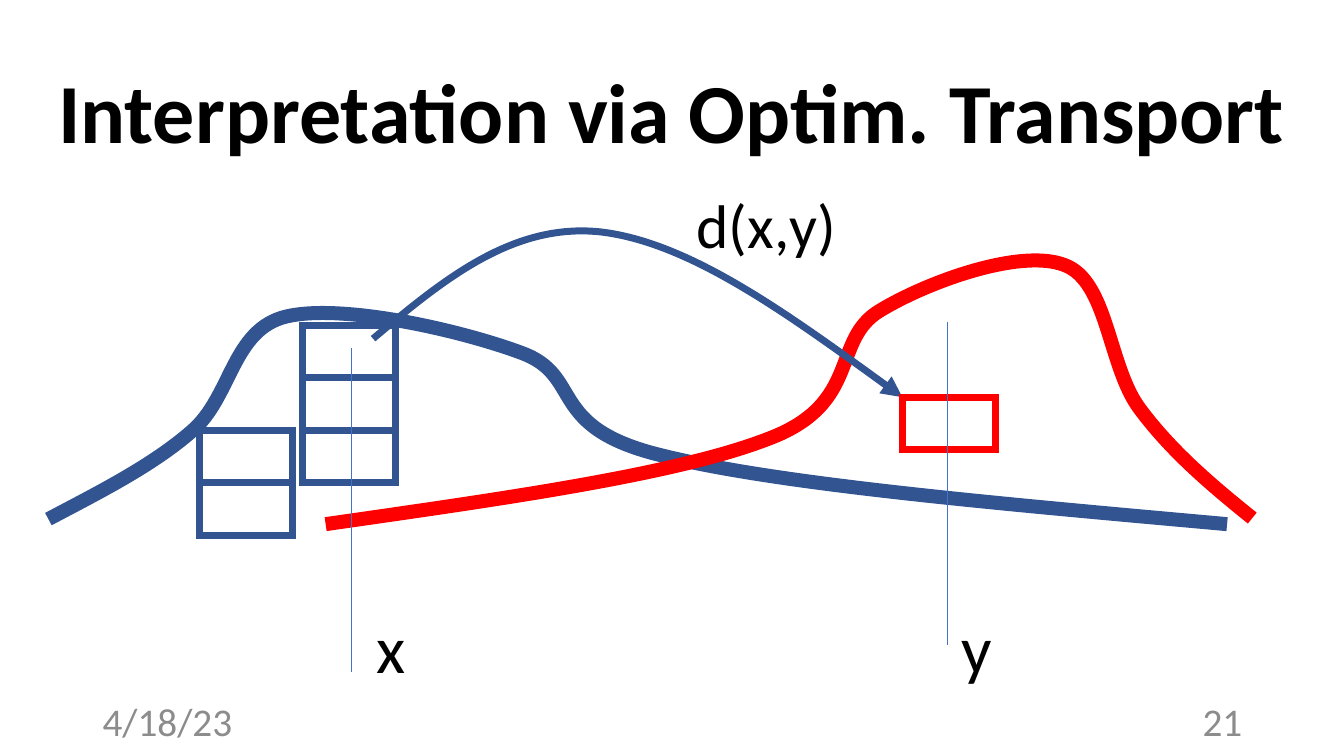
from dataclasses import dataclass

from lxml import etree
from pptx import Presentation
from pptx.dml.color import RGBColor
from pptx.enum.shapes import MSO_CONNECTOR, MSO_SHAPE
from pptx.enum.text import MSO_ANCHOR, PP_ALIGN
from pptx.oxml.ns import qn
from pptx.util import Inches, Pt

RECTANGLE = MSO_SHAPE.RECTANGLE
STRAIGHT = MSO_CONNECTOR.STRAIGHT
TOP, MIDDLE = MSO_ANCHOR.TOP, MSO_ANCHOR.MIDDLE
LEFT, RIGHT = PP_ALIGN.LEFT, PP_ALIGN.RIGHT


@dataclass(frozen=True)
class Theme:
    font: str = "Calibri"
    black: RGBColor = RGBColor(0x00, 0x00, 0x00)
    gray: RGBColor = RGBColor(0x8C, 0x8C, 0x8C)
    white: RGBColor = RGBColor(0xFF, 0xFF, 0xFF)
    blue: RGBColor = RGBColor(0x32, 0x54, 0x91)
    red: RGBColor = RGBColor(0xFF, 0x00, 0x00)
    guide: RGBColor = RGBColor(0x44, 0x72, 0xC4)
    title_size: int = 60
    axis_size: int = 48
    distance_size: int = 44
    footer_size: int = 28
    curve_width: float = 10
    box_width: float = 5
    guide_width: float = 0.5


THEME = Theme()
MASS_WIDTH, MASS_HEIGHT = 0.92, 0.52

# Each curve is a start point followed by cubic Bézier triples.
SOURCE_CURVE = [
    (0.48, 5.15),
    (0.99, 4.88), (1.51, 4.62), (1.9, 4.28),
    (2.3, 3.94), (2.3, 3.27), (2.84, 3.14),
    (3.39, 3.01), (4.55, 3.27), (5.17, 3.5),
    (5.8, 3.73), (5.4, 4.24), (6.57, 4.52),
    (7.74, 4.81), (9.95, 5), (12.17, 5.2),
]
TARGET_CURVE = [
    (12.42, 5.14),
    (12.01, 4.81), (11.61, 4.47), (11.3, 4.05),
    (10.99, 3.63), (10.99, 2.79), (10.56, 2.63),
    (10.13, 2.46), (9.21, 2.79), (8.73, 3.08),
    (8.24, 3.37), (8.55, 4), (7.63, 4.35),
    (6.71, 4.71), (4.97, 4.95), (3.23, 5.2),
]
TRANSPORT_CURVE = [
    (3.7, 3.36),
    (4.39, 2.78), (5.08, 2.21), (5.95, 2.3),
    (6.83, 2.4), (7.89, 3.17), (8.95, 3.94),
]


def add_text(slide, text, box, size, color=THEME.black, bold=False,
             align=LEFT, anchor=TOP, wrap=False, line_spacing=None):
    frame = slide.shapes.add_textbox(*map(Inches, box)).text_frame
    frame.word_wrap = wrap
    frame.vertical_anchor = anchor
    paragraph = frame.paragraphs[0]
    paragraph.alignment = align
    paragraph.line_spacing = line_spacing
    run = paragraph.add_run()
    run.text = text
    run.font.name = THEME.font
    run.font.size = Pt(size)
    run.font.bold = bold
    run.font.color.rgb = color


def style_line(line, color, width):
    line.color.rgb = color
    line.width = Pt(width)


def bend_outline(shape, points):
    """Replace the straight segments of a freeform by cubic Béziers."""
    outline = shape._element.find(".//" + qn("a:path"))
    outline.set("w", str(shape.width))
    outline.set("h", str(shape.height))
    for segment in list(outline):
        outline.remove(segment)
    groups = [points[:1]] + [points[i:i + 3] for i in range(1, len(points), 3)]
    for group in groups:
        tag = "a:moveTo" if len(group) == 1 else "a:cubicBezTo"
        segment = etree.SubElement(outline, qn(tag))
        for x, y in group:
            etree.SubElement(segment, qn("a:pt"), x=str(Inches(x) - shape.left),
                             y=str(Inches(y) - shape.top))


def add_curve(slide, points, crest, color, width, arrow=False):
    """Draw a Bézier chain whose highest point lies at crest."""
    start, *knots = [(Inches(x), Inches(y)) for x, y in points[::3]]
    builder = slide.shapes.build_freeform(*start)
    builder.add_line_segments(knots, close=False)
    shape = builder.convert_to_shape()
    shape.height += shape.top - Inches(crest)
    shape.top = Inches(crest)
    bend_outline(shape, points)
    shape.shadow.inherit = False
    shape.fill.background()
    style_line(shape.line, color, width)
    if arrow:
        etree.SubElement(shape.line._get_or_add_ln(), qn("a:tailEnd"), type="triangle")


def add_mass_stack(slide, left, top, count, color):
    """Stack equal boxes of probability mass downwards from the top."""
    for row in range(count):
        shape = slide.shapes.add_shape(
            RECTANGLE, Inches(left), Inches(top + row * MASS_HEIGHT),
            Inches(MASS_WIDTH), Inches(MASS_HEIGHT))
        shape.shadow.inherit = False
        shape.fill.solid()
        shape.fill.fore_color.rgb = THEME.white
        style_line(shape.line, color, THEME.box_width)
        etree.SubElement(shape.line._get_or_add_ln(), qn("a:miter"), lim="800000")


def add_guide(slide, x, top, bottom):
    connector = slide.shapes.add_connector(
        STRAIGHT, Inches(x), Inches(top), Inches(x), Inches(bottom))
    style_line(connector.line, THEME.guide, THEME.guide_width)
    etree.SubElement(connector._element.spPr, qn("a:effectLst"))


def main():
    presentation = Presentation()
    presentation.slide_width = Inches(13.33)
    presentation.slide_height = Inches(7.5)
    slide = presentation.slides.add_slide(presentation.slide_layouts[6])

    add_text(slide, "Interpretation via Optim. Transport", (0.48, 0.43, 12.4, 1.45),
             THEME.title_size, bold=True, anchor=MIDDLE, wrap=True, line_spacing=0.9)
    for text, left, align in (("4/18/23", 0.92, LEFT), ("21", 9.42, RIGHT)):
        add_text(slide, text, (left, 6.95, 3, 0.4), THEME.footer_size, THEME.gray,
                 align=align, anchor=MIDDLE, wrap=True)

    add_curve(slide, SOURCE_CURVE, 3.11, THEME.blue, THEME.curve_width)
    add_curve(slide, TARGET_CURVE, 2.58, THEME.red, THEME.curve_width)
    add_mass_stack(slide, 3, 3.23, 3, THEME.blue)
    add_mass_stack(slide, 1.98, 4.27, 2, THEME.blue)
    add_curve(slide, TRANSPORT_CURVE, 2.29, THEME.blue, THEME.box_width, arrow=True)
    add_mass_stack(slide, 8.95, 3.94, 1, THEME.red)

    add_guide(slide, 3.48, 3.45, 6.67)
    add_guide(slide, 9.4, 3.19, 6.4)
    add_text(slide, "x", (3.64, 5.97, 0.49, 0.91), THEME.axis_size)
    add_text(slide, "y", (9.44, 5.97, 0.51, 0.91), THEME.axis_size)
    add_text(slide, "d(x,y)", (6.81, 1.81, 1.6, 0.84), THEME.distance_size)

    presentation.save("out.pptx")


if __name__ == "__main__":
    main()
